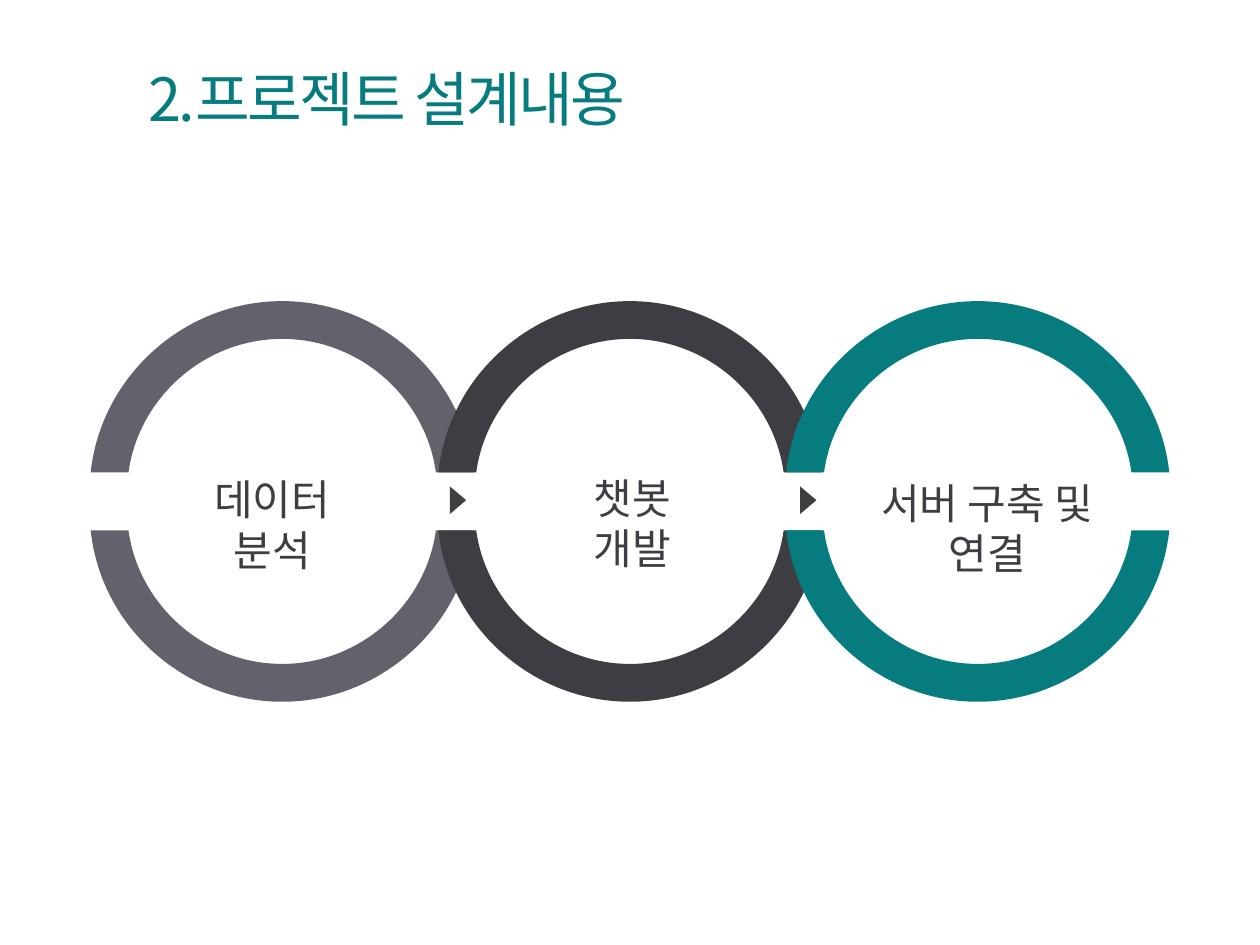
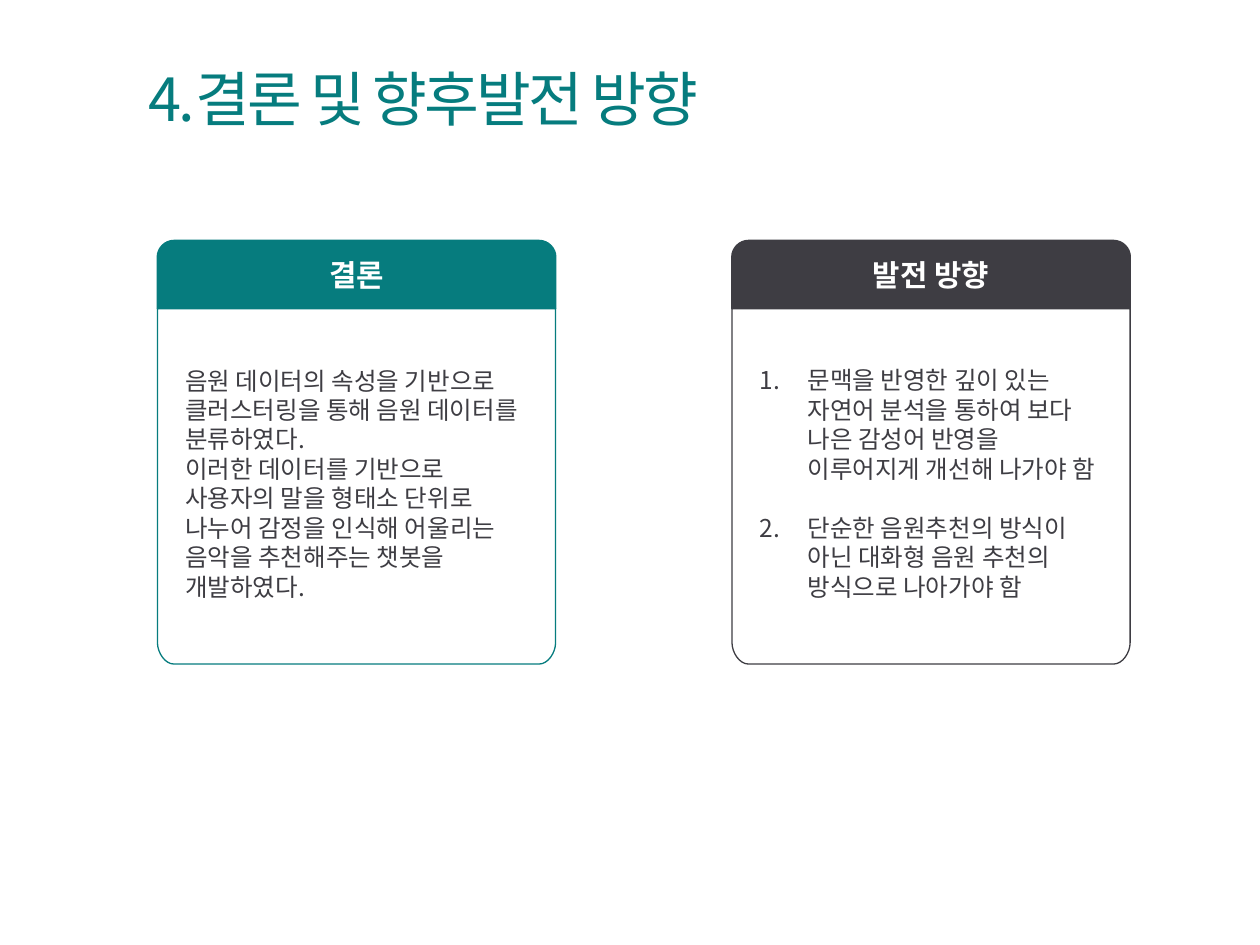
"""Build two slides: the linked design steps and the conclusion cards."""
from dataclasses import dataclass

from lxml.etree import SubElement
from pptx import Presentation
from pptx.dml.color import RGBColor
from pptx.enum.text import MSO_ANCHOR, PP_ALIGN
from pptx.oxml.ns import qn
from pptx.util import Pt

EMU_PER_PX = 9144


def px(length):
    """Turn px (100 to the inch) into EMU."""
    return length * EMU_PER_PX


@dataclass(frozen=True)
class Theme:
    """Colours, font and type sizes."""
    font: str = "Noto Sans CJK KR"
    teal: str = "067C7E"
    charcoal: str = "3E3D43"
    slate: str = "63616B"
    arrow: str = "3F3F3F"
    white: str = "FFFFFF"
    title_size: int = 34
    step_size: int = 24
    header_size: int = 17
    body_size: int = 14


class Painter:
    """Draws styled elements on the current slide."""

    def __init__(self, deck, theme):
        """Keep the deck and its theme."""
        self.deck = deck
        self.theme = theme
        self.page = None

    def new_page(self, title):
        """Start a blank slide with the shared title."""
        self.page = self.deck.slides.add_slide(self.deck.slide_layouts[6])
        frame = self.text_box(108, 36, 862, 90)
        frame.vertical_anchor = MSO_ANCHOR.MIDDLE
        para = frame.paragraphs[0]
        para.line_spacing = 0.9
        span = self.add_span(para, title, self.theme.title_size, self.theme.teal)
        span.font._element.set("spc", "-150")

    def text_box(self, left, top, width, height):
        """Add a wrapping text box and return its frame."""
        box = self.page.shapes.add_textbox(px(left), px(top), px(width), px(height))
        box.text_frame.word_wrap = True
        return box.text_frame

    def add_span(self, para, text, size, color, bold=False):
        """Add one styled run to a paragraph."""
        span = para.add_run()
        span.text = text
        span.font.size = Pt(size)
        span.font.bold = bold
        span.font.name = self.theme.font
        span.font.color.rgb = RGBColor.from_string(color)
        SubElement(span.font._element, qn("a:ea"), typeface=self.theme.font)
        return span

    def outline(self, start, steps, fill, line=None, line_width=1):
        """Draw a closed outline; a step of three points is a cubic curve."""
        builder = self.page.shapes.build_freeform(*start, scale=EMU_PER_PX)
        builder.add_line_segments([point for step in steps for point in step])
        shape = builder.convert_to_shape()
        segments = iter(list(shape.element.iter(qn("a:lnTo"))))
        for step in steps:
            first, *others = [next(segments) for _ in step]
            if others:
                first.tag_name = None
                curve = first.makeelement(qn("a:cubicBezTo"))
                first.addprevious(curve)
                for segment in [first, *others]:
                    curve.append(segment[0])
                    segment.getparent().remove(segment)
        shape.shadow.inherit = False
        shape.fill.solid()
        shape.fill.fore_color.rgb = RGBColor.from_string(fill)
        if line:
            shape.line.color.rgb = RGBColor.from_string(line)
            shape.line.width = Pt(line_width)
        else:
            shape.line.fill.background()
        return shape

    def half_ring(self, center_x, center_y, side, color):
        """Draw the half ring above (side -1) or below (side 1) a centre."""
        def at(x, y):
            return center_x + x, center_y + side * y
        self.outline(at(0, 129), [
            [at(-62, 129), at(-114, 82), at(-122, 23)],
            [at(-152, 23)],
            [at(-144, 99), at(-78, 159), at(0, 159)],
            [at(78, 159), at(144, 99), at(152, 23)],
            [at(122, 23)],
            [at(114, 82), at(62, 129), at(0, 129)],
        ], color)

    def arrow(self, left, top):
        """Draw a small triangle that points right."""
        self.outline((left, top), [[(left + 13, top + 11)], [(left, top + 22)]],
                     self.theme.arrow)

    def step_label(self, left, top, width, lines):
        """Write a centred label, one run to a line."""
        para = self.text_box(left, top, width, 90).paragraphs[0]
        para.alignment = PP_ALIGN.CENTER
        for index, text in enumerate(lines):
            if index:
                para.add_line_break()
            self.add_span(para, text, self.theme.step_size, self.theme.charcoal)

    def rounded_end(self, left, flat, end, corner, fill, line, line_width):
        """Draw a card part that is square at flat and rounded at end."""
        right = left + 316
        bend = end + corner if end < flat else end - corner
        return self.outline((left, flat), [
            [(right, flat)], [(right, bend)],
            [(right, (bend + end) // 2), (right - 6, end), (right - 13, end)],
            [(left + 13, end)],
            [(left + 6, end), (left, (bend + end) // 2), (left, bend)],
        ], fill, line, line_width)

    def card(self, left, color, heading, texts, numbered=False):
        """Draw a card with a coloured header and body paragraphs."""
        theme = self.theme
        header = self.rounded_end(left, 245, 191, 13, color, color, 1).text_frame
        header.vertical_anchor = MSO_ANCHOR.MIDDLE
        header.paragraphs[0].alignment = PP_ALIGN.CENTER
        self.add_span(header.paragraphs[0], heading, theme.header_size, theme.white, True)

        body = self.rounded_end(left, 245, 527, 17, theme.white, color, 0.75).text_frame
        body.word_wrap = True
        body.vertical_anchor = MSO_ANCHOR.MIDDLE
        body.margin_left = body.margin_right = px(22)
        body.margin_top, body.margin_bottom = 0, px(5)
        for index, text in enumerate(texts):
            para = body.add_paragraph() if index else body.paragraphs[0]
            para.alignment = PP_ALIGN.LEFT
            if numbered:
                para.space_before = Pt(17 if index else 0)
                self.number(para)
            self.add_span(para, text, theme.body_size, theme.charcoal)

    def number(self, para):
        """Give a paragraph an automatic number and a hanging indent."""
        properties = para._p.get_or_add_pPr()
        properties.set("marL", str(px(38)))
        properties.set("indent", str(px(-38)))
        SubElement(properties, qn("a:buFont"), typeface=self.theme.font)
        SubElement(properties, qn("a:buAutoNum"), type="arabicPeriod")


def design_page(painter):
    """Draw the three linked steps of the project."""
    theme = painter.theme
    painter.new_page("2.프로젝트 설계내용")
    for left in (357, 635):
        painter.arrow(left, 386)
    for index, color in enumerate((theme.slate, theme.charcoal, theme.teal)):
        for side in (1, -1):
            painter.half_ring(224 + 276 * index, 398, side, color)
    painter.step_label(127, 371, 178, ("데이터", "분석"))
    painter.step_label(428, 370, 148, ("챗봇", "개발"))
    painter.step_label(657, 374, 253, ("서버 구축 및", "연결"))


def conclusion_page(painter):
    """Draw the conclusion and the next directions side by side."""
    theme = painter.theme
    painter.new_page("4.결론 및 향후발전 방향")
    painter.card(581, theme.charcoal, "발전 방향", (
        "문맥을 반영한 깊이 있는 자연어 분석을 통하여 보다 나은 감성어 반영을 "
        "이루어지게 개선해 나가야 함",
        "단순한 음원추천의 방식이 아닌 대화형 음원 추천의 방식으로 나아가야 함",
    ), numbered=True)
    painter.card(125, theme.teal, "결론", (
        "음원 데이터의 속성을 기반으로 클러스터링을 통해 음원 데이터를 분류하였다.",
        "이러한 데이터를 기반으로 사용자의 말을 형태소 단위로 나누어 감정을 인식해 "
        "어울리는 음악을 추천해주는 챗봇을 개발하였다.",
    ))


def main():
    """Build and save the deck."""
    deck = Presentation()
    deck.slide_width, deck.slide_height = px(1000), px(750)
    painter = Painter(deck, Theme())
    design_page(painter)
    conclusion_page(painter)
    deck.save("out.pptx")


if __name__ == "__main__":
    main()
